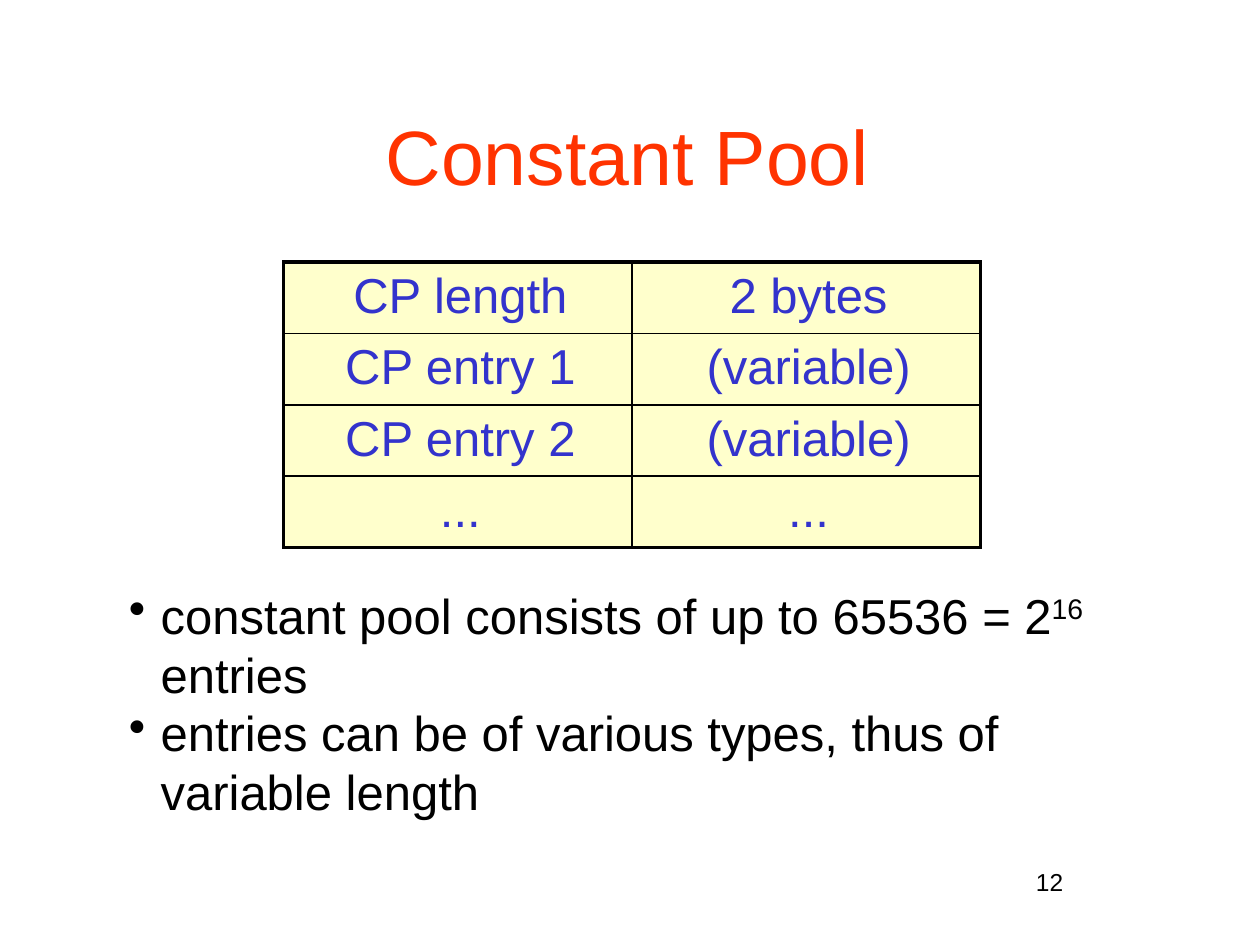
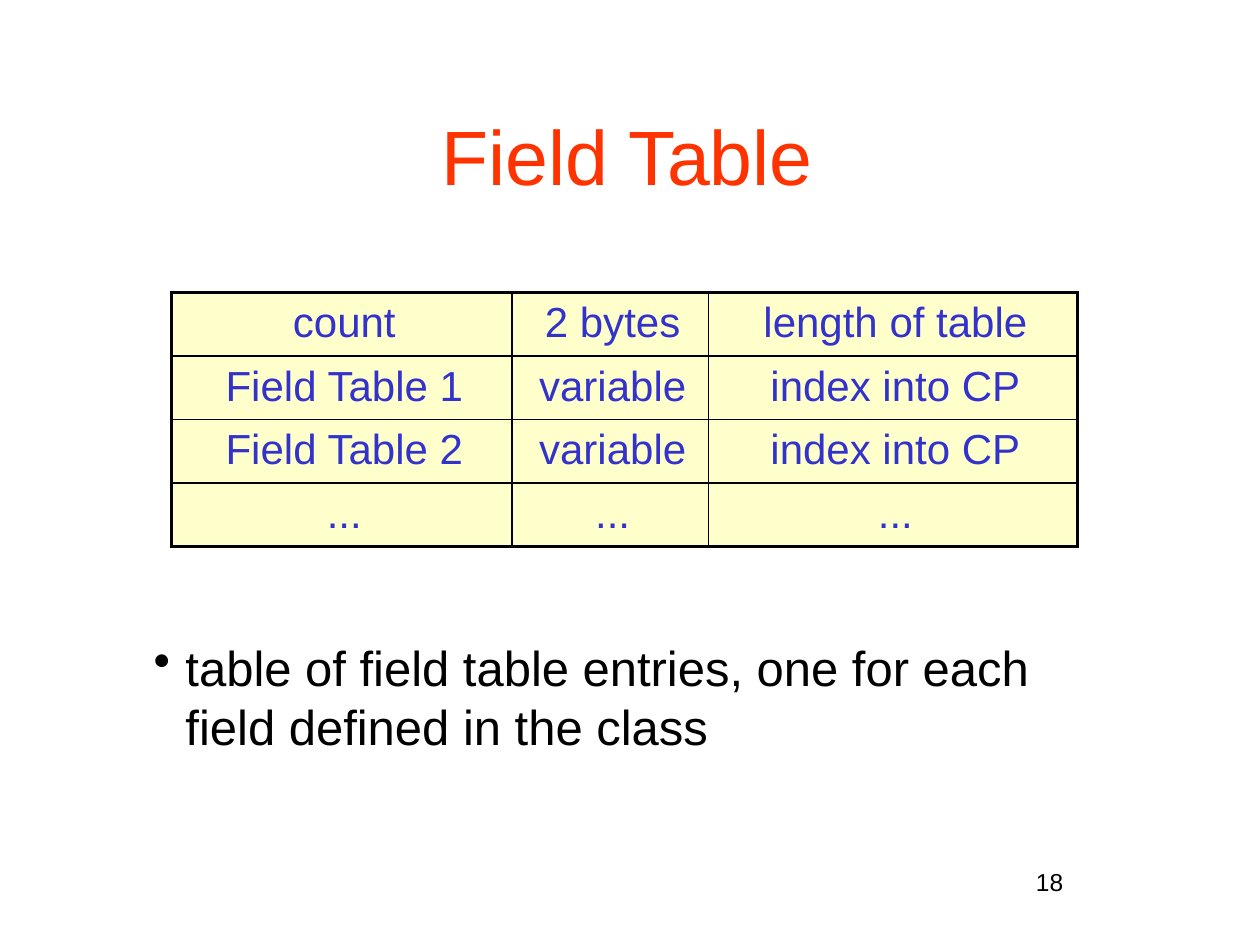
from lxml import etree
from pptx import Presentation
from pptx.dml.color import RGBColor
from pptx.enum.text import MSO_ANCHOR, MSO_AUTO_SIZE, PP_ALIGN
from pptx.oxml.ns import qn
from pptx.util import Cm, Pt

BLACK = RGBColor(0x00, 0x00, 0x00)
RED = RGBColor(0xFF, 0x33, 0x00)
BLUE = RGBColor(0x33, 0x33, 0xCC)
CREAM = RGBColor(0xFF, 0xFF, 0xCC)
FONT = "Arial"
CENTER = PP_ALIGN.CENTER
MIDDLE = MSO_ANCHOR.MIDDLE
NO_FIT = MSO_AUTO_SIZE.NONE
TITLE_ONLY = 5
PADDING = Cm(0.16)
CELL_TOP, CELL_BOTTOM = Cm(0.14), Cm(0.06)
OUTER, INNER = Pt(2.25), Pt(1)


def format_runs(p, size, color):
    """Give every run of a paragraph the deck's font."""
    for r in p.runs:
        r.font.name = FONT
        r.font.size = Pt(size)
        r.font.color.rgb = color


def set_indent(p, margin, first=0):
    """Set the left margin and first-line indent of a paragraph."""
    pPr = p._p.get_or_add_pPr()
    pPr.set("marL", str(margin))
    pPr.set("indent", str(first))
    return pPr


def set_insets(tf, left, top, right, bottom):
    """Set the inner margins of a text frame or cell."""
    tf.margin_left, tf.margin_top = left, top
    tf.margin_right, tf.margin_bottom = right, bottom


def add_slide(prs, title, number):
    """Add a slide with its centred title and page number."""
    s = prs.slides.add_slide(prs.slide_layouts[TITLE_ONLY])
    sp = s.shapes.title
    sp.left, sp.top, sp.width, sp.height = Cm(1.9), Cm(0.74), Cm(21.6), Cm(4.76)
    tf = sp.text_frame
    tf.text = title
    tf.auto_size = NO_FIT
    tf.vertical_anchor = MIDDLE
    set_insets(tf, PADDING, PADDING, Cm(0.36), PADDING)
    p = tf.paragraphs[0]
    p.alignment = CENTER
    set_indent(p, Cm(0.1))
    format_runs(p, 44, RED)

    tf = s.shapes.add_textbox(Cm(20.73), Cm(17.35), Cm(0.86), Cm(0.84)).text_frame
    tf.word_wrap = False
    set_insets(tf, 0, Cm(0.13), 0, Cm(0.13))
    tf.text = str(number)
    tf.paragraphs[0].alignment = CENTER
    format_runs(tf.paragraphs[0], 14, BLACK)
    return s


def add_border(cell, side, width):
    """Draw a solid black border on one side of a cell."""
    ln = etree.SubElement(cell._tc.get_or_add_tcPr(), qn("a:ln" + side), w=str(width))
    fill = etree.SubElement(ln, qn("a:solidFill"))
    etree.SubElement(fill, qn("a:srgbClr"), val=str(BLACK))


def add_grid(s, left, top, widths, row_height, rows, size):
    """Add a cream table with thick outer and thin inner borders."""
    table = s.shapes.add_table(len(rows), len(widths), left, top,
                               sum(widths), row_height * len(rows)).table
    for column, width in zip(table.columns, widths):
        column.width = width
    last_row, last_col = len(rows) - 1, len(widths) - 1
    for i, texts in enumerate(rows):
        table.rows[i].height = row_height
        for j, text in enumerate(texts):
            cell = table.cell(i, j)
            cell.text = text
            set_insets(cell, PADDING, CELL_TOP, PADDING, CELL_BOTTOM)
            edges = {"L": j == 0, "R": j == last_col, "T": i == 0, "B": i == last_row}
            for side, is_outer in edges.items():
                add_border(cell, side, OUTER if is_outer else INNER)
            cell.fill.solid()
            cell.fill.fore_color.rgb = CREAM
            p = cell.text_frame.paragraphs[0]
            p.alignment = CENTER
            set_indent(p, Cm(0.1))
            format_runs(p, size, BLUE)


def add_bullets(s, left, top, width, height, items):
    """Add a bullet list; each item is a list of (text, is superscript)."""
    tf = s.shapes.add_textbox(left, top, width, height).text_frame
    tf.word_wrap = True
    set_insets(tf, 0, 0, Cm(0.1), 0)
    for i, parts in enumerate(items):
        p = tf.add_paragraph() if i else tf.paragraphs[0]
        pPr = set_indent(p, Cm(0.74), -Cm(0.64))
        etree.SubElement(pPr, qn("a:buChar"), char="•")
        for text, is_super in parts:
            r = p.add_run()
            r.text = text
            if is_super:
                r.font._element.set("baseline", "30000")
        format_runs(p, 28, BLACK)


def main():
    """Build the two slides."""
    prs = Presentation()
    prs.slide_width, prs.slide_height = Cm(25.4), Cm(19.05)

    s = add_slide(prs, "Constant Pool", 12)
    add_grid(s, Cm(5.72), Cm(5.28), [Cm(7.02)] * 2, Cm(1.44), [
        ["CP length", "2 bytes"],
        ["CP entry 1", "(variable)"],
        ["CP entry 2", "(variable)"],
        ["...", "..."],
    ], 28)
    add_bullets(s, Cm(2.5), Cm(11.8), Cm(20.42), Cm(4.78), [
        [("constant pool consists of up to 65536 = 2", False),
         ("16", True), (" entries", False)],
        [("entries can be of various types, thus of variable length", False)],
    ])

    s = add_slide(prs, "Field Table", 18)
    add_grid(s, Cm(3.46), Cm(5.9), [Cm(6.86), Cm(3.96), Cm(7.44)], Cm(1.28), [
        ["count", "2 bytes", "length of table"],
        ["Field Table 1", "variable", "index into CP"],
        ["Field Table 2", "variable", "index into CP"],
        ["...", "...", "..."],
    ], 24)
    add_bullets(s, Cm(3), Cm(12.85), Cm(19.68), Cm(2.5), [
        [("table of field table entries, one for each field defined in the class", False)],
    ])

    prs.save("out.pptx")


main()
